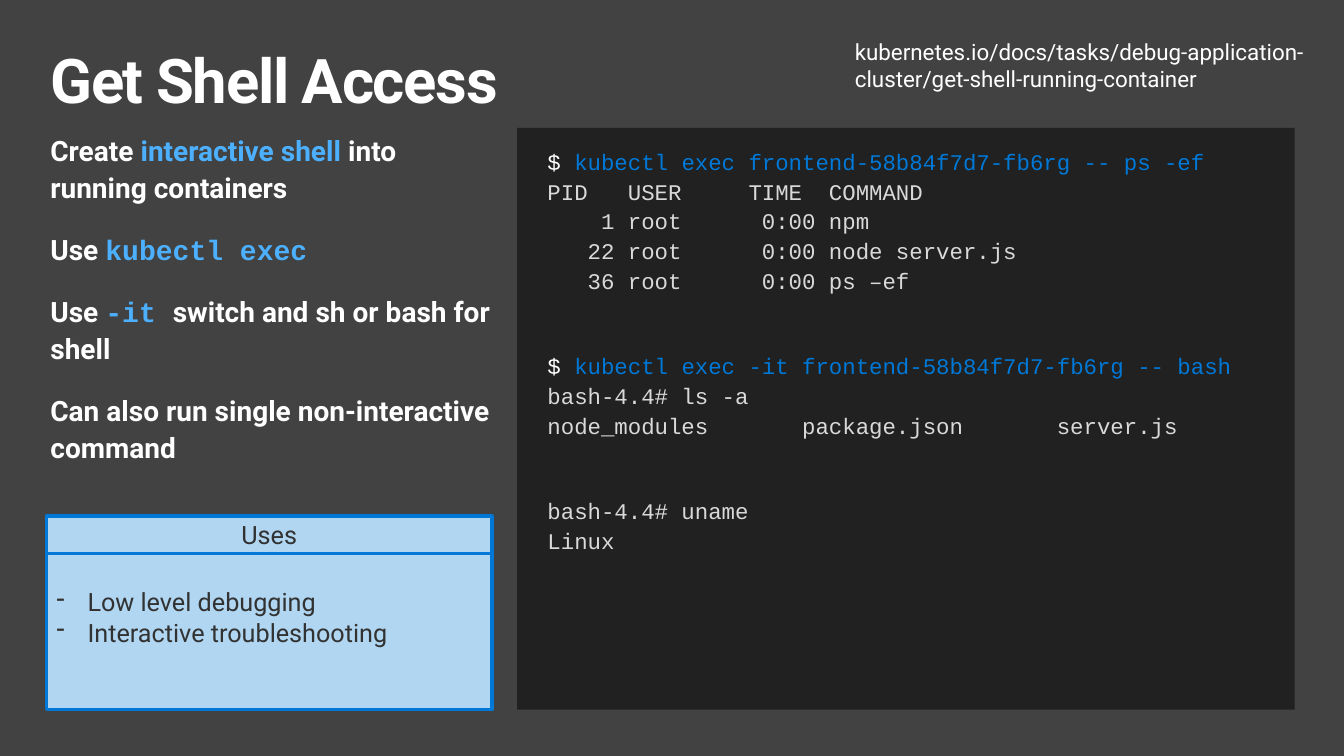
from pptx import Presentation
from pptx.dml.color import RGBColor
from pptx.enum.shapes import MSO_SHAPE
from pptx.enum.text import MSO_ANCHOR, PP_ALIGN
from pptx.oxml import parse_xml
from pptx.oxml.ns import nsdecls
from pptx.util import Inches, Pt

COLORS = {
    "background": "414241",
    "terminal": "202120",
    "white": "FFFFFF",
    "output": "D9D9D9",
    "command": "0078D7",
    "accent": "4DB0FF",
    "panel": "B1D6F2",
    "ink": "313231",
}
SANS = "Roboto"
MONO = "Courier New"


class SlideBuilder:
    def __init__(self, page):
        self.page = page
        page.background.fill.solid()
        page.background.fill.fore_color.rgb = self.color("background")

    def color(self, name):
        return RGBColor.from_string(COLORS[name])

    def frame(self, box, insets, anchor=MSO_ANCHOR.TOP):
        frame = box.text_frame
        frame.word_wrap = True
        frame.vertical_anchor = anchor
        frame.margin_left, frame.margin_top, frame.margin_right, frame.margin_bottom = map(Inches, insets)
        return frame

    def text_box(self, place, insets):
        return self.frame(self.page.shapes.add_textbox(*map(Inches, place)), insets)

    def rectangle(self, place, fill, insets, line=None, anchor=MSO_ANCHOR.TOP):
        box = self.page.shapes.add_shape(MSO_SHAPE.RECTANGLE, *map(Inches, place))
        box.shadow.inherit = False
        box.fill.solid()
        box.fill.fore_color.rgb = self.color(fill)
        if line:
            box.line.color.rgb = self.color(line)
            box.line.width = Pt(2.25)
        else:
            box.line.fill.background()
        return self.frame(box, insets, anchor)

    def paragraph(self, frame, spans, size, bold=False, align=PP_ALIGN.LEFT,
                  before=0, after=0, spacing=1.0):
        first = not frame.text
        para = frame.paragraphs[0] if first else frame.add_paragraph()
        para.alignment = align
        para.line_spacing = spacing
        para.space_before = Pt(0 if first else before)
        para.space_after = Pt(after)
        for text, color, font in spans:
            span = para.add_run()
            span.text = text
            span.font.name = font
            span.font.size = Pt(size)
            span.font.bold = bold
            span.font.color.rgb = self.color(color)
        return para

    def dash_item(self, frame, text, size):
        para = self.paragraph(frame, [(text, "ink", SANS)], size)
        properties = para._p.get_or_add_pPr()
        properties.set("marL", str(Inches(0.31)))
        properties.set("indent", str(-Inches(0.31)))
        properties.append(parse_xml(f'<a:buChar {nsdecls("a")} char="-"/>'))

    def title(self, text):
        frame = self.text_box((0.5, 0.5, 5.65, 0.79), (0, 0, 0, 0))
        para = self.paragraph(frame, [(text, "white", SANS)], 44, bold=True, spacing=0.9)
        para.runs[0].font._element.set("spc", "-100")

    def terminal(self, sessions):
        frame = self.rectangle((5.13, 1.27, 7.71, 5.77), "terminal", (0.3, 0.2, 0.2, 0.2))
        for session in sessions:
            for index, line in enumerate(session):
                if line.startswith("$ "):
                    spans = [("$ ", "white", MONO), (line[2:], "command", MONO)]
                else:
                    spans = [(line, "output", MONO)]
                self.paragraph(frame, spans, 16, before=0 if index else 40, after=2)


def main():
    deck = Presentation()
    deck.slide_width = Inches(13.33)
    deck.slide_height = Inches(7.5)
    slide = SlideBuilder(deck.slides.add_slide(deck.slide_layouts[6]))

    slide.terminal([
        [
            "$ kubectl exec frontend-58b84f7d7-fb6rg -- ps -ef",
            "PID   USER     TIME  COMMAND",
            "    1 root      0:00 npm",
            "   22 root      0:00 node server.js",
            "   36 root      0:00 ps –ef",
        ],
        [
            "$ kubectl exec -it frontend-58b84f7d7-fb6rg -- bash",
            "bash-4.4# ls -a",
            "node_modules       package.json       server.js",
        ],
        ["bash-4.4# uname", "Linux"],
    ])
    slide.title("Get Shell Access")

    points = slide.text_box((0.5, 1.29, 4.63, 3.82), (0, 0, 0.2, 0))
    for spans in [
        [("Create ", "white", SANS), ("interactive shell", "accent", SANS),
         (" into running containers", "white", SANS)],
        [("Use ", "white", SANS), ("kubectl exec", "accent", MONO)],
        [("Use ", "white", SANS), ("-it ", "accent", MONO),
         ("switch and sh or bash for shell", "white", SANS)],
        [("Can also run single non-interactive command", "white", SANS)],
    ]:
        slide.paragraph(points, spans, 20, bold=True, before=12, after=6, spacing=1.1)

    uses = slide.rectangle((0.46, 5.49, 4.42, 1.55), "panel", (0.1, 0.05, 0.1, 0.34),
                           line="command", anchor=MSO_ANCHOR.MIDDLE)
    for text in ["Low level debugging", "Interactive troubleshooting"]:
        slide.dash_item(uses, text, 18)

    heading = slide.rectangle((0.46, 5.12, 4.42, 0.37), "panel", (0.1, 0.05, 0.1, 0.05),
                              line="command", anchor=MSO_ANCHOR.MIDDLE)
    slide.paragraph(heading, [("Uses", "ink", SANS)], 18, align=PP_ALIGN.CENTER)

    address = slide.text_box((8.38, 0.33, 4.68, 0.64), (0.1, 0.05, 0.1, 0.05))
    slide.paragraph(address, [(
        "kubernetes.io/docs/tasks/debug-application-cluster/get-shell-running-container",
        "white", SANS)], 16)

    deck.save("out.pptx")


if __name__ == "__main__":
    main()
